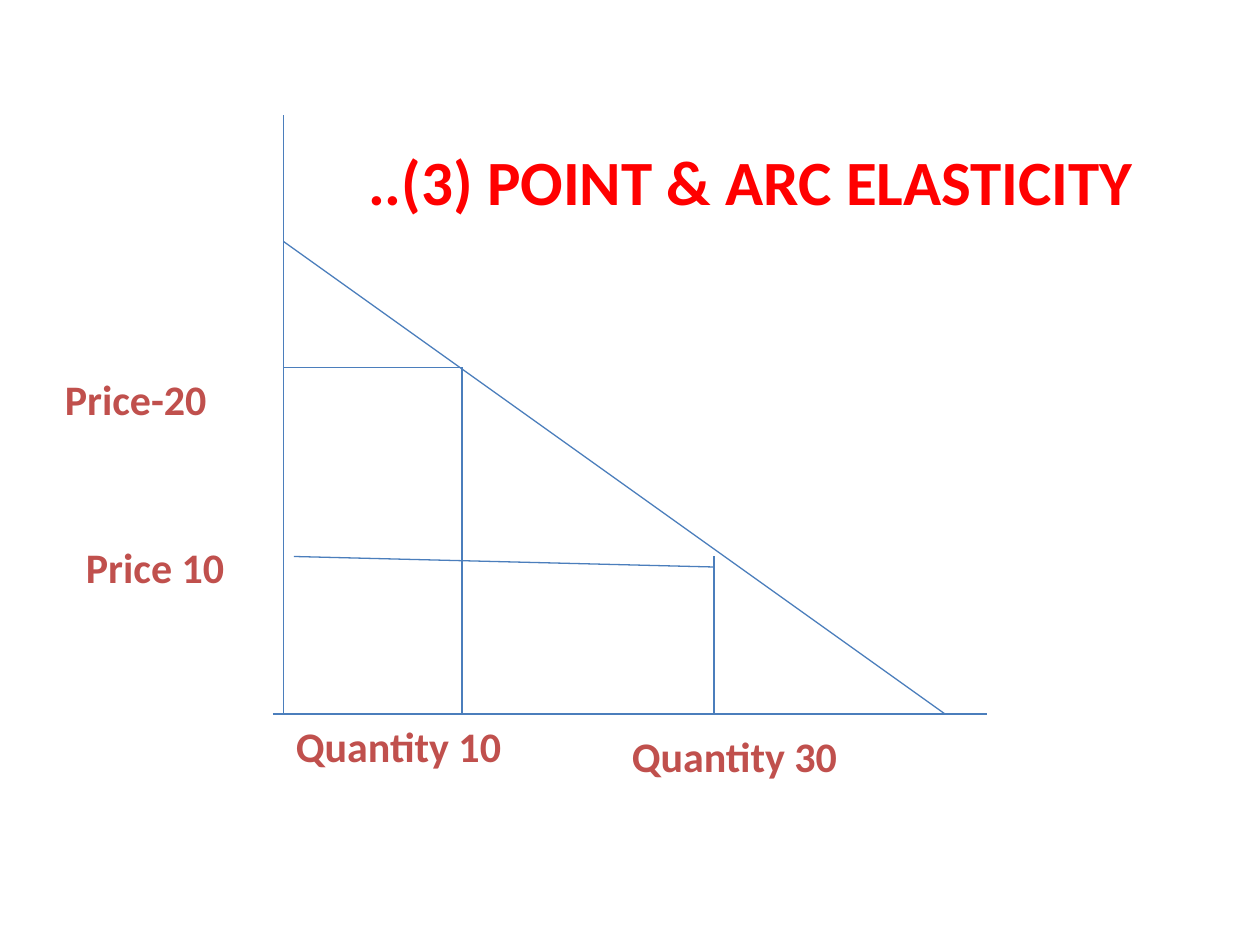
from lxml.etree import SubElement
from pptx import Presentation
from pptx.dml.color import RGBColor
from pptx.enum.shapes import MSO_CONNECTOR
from pptx.enum.text import MSO_AUTO_SIZE, PP_ALIGN
from pptx.oxml.ns import qn
from pptx.util import Pt

BLUE = RGBColor(0x4B, 0x7E, 0xBC)
BRICK = RGBColor(0xC0, 0x50, 0x4D)
RED = RGBColor(0xFF, 0x00, 0x00)

# Shared chart positions, in points
AXIS_X, AXIS_Y = 162, 408
Q10_X, Q30_X = 264, 408
P20_Y, P10_Y = 210, 318


def add_line(s, x1, y1, x2, y2):
    line = s.shapes.add_connector(
        MSO_CONNECTOR.STRAIGHT, Pt(x1), Pt(y1), Pt(x2), Pt(y2))
    line.line.color.rgb = BLUE
    line.line.width = Pt(0.75)
    SubElement(line._element.spPr, qn("a:effectLst"))


def add_text(s, text, x, y, w, h=36, size=24, color=BRICK,
             align=PP_ALIGN.LEFT, wrap=True):
    sp = s.shapes.add_textbox(Pt(x), Pt(y), Pt(w), Pt(h))
    tf = sp.text_frame
    tf.word_wrap = wrap
    tf.auto_size = MSO_AUTO_SIZE.SHAPE_TO_FIT_TEXT
    p = tf.paragraphs[0]
    p.alignment = align
    r = p.add_run()
    r.text = text
    r.font.name = "Calibri"
    r.font.size = Pt(size)
    r.font.bold = True
    r.font.color.rgb = color


def main():
    prs = Presentation()
    prs.slide_width, prs.slide_height = Pt(720), Pt(540)
    s = prs.slides.add_slide(prs.slide_layouts[6])

    # Axes and demand line
    add_line(s, AXIS_X, 66, AXIS_X, AXIS_Y)
    add_line(s, 156, AXIS_Y, 564, AXIS_Y)
    add_line(s, AXIS_X, 138, 540, AXIS_Y)

    # Guides from each price to its quantity
    add_line(s, AXIS_X, P20_Y, Q10_X, P20_Y)
    add_line(s, Q10_X, P20_Y, Q10_X, AXIS_Y)
    add_line(s, 168, P10_Y, Q30_X, 324)
    add_line(s, Q30_X, P10_Y, Q30_X, AXIS_Y)

    # Price and quantity labels
    add_text(s, "Price-20", 30, P20_Y, 124)
    add_text(s, "Price 10", 42, 306, 129)
    add_text(s, "Quantity 10", AXIS_X, AXIS_Y, 144)
    add_text(s, "Quantity 30", 354, 414, 133, wrap=False)

    # Title
    add_text(s, "..(3) POINT & ARC ELASTICITY", 198, 78, 462, h=51,
             size=36, color=RED, align=PP_ALIGN.CENTER)

    prs.save("out.pptx")


if __name__ == "__main__":
    main()
